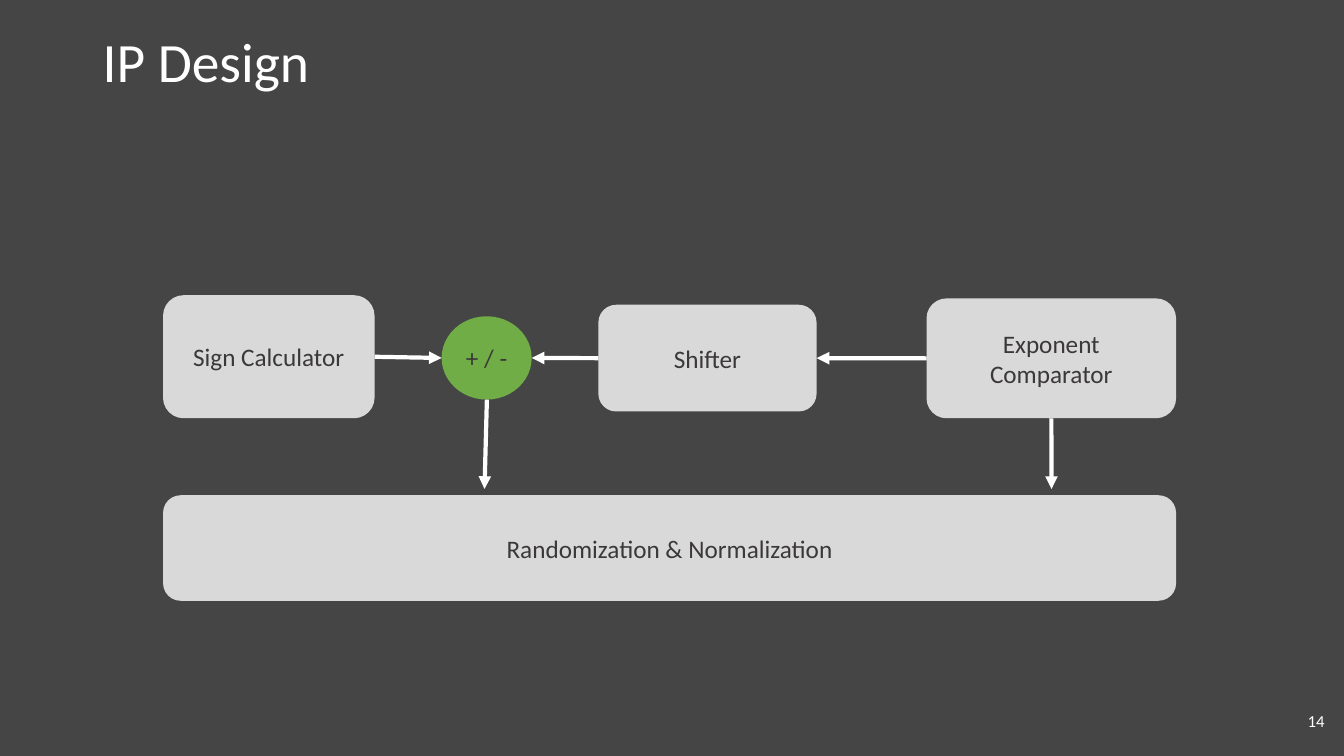
from lxml import etree
from pptx import Presentation
from pptx.dml.color import RGBColor
from pptx.enum.shapes import MSO_CONNECTOR, MSO_SHAPE
from pptx.enum.text import MSO_ANCHOR, PP_ALIGN
from pptx.oxml.ns import qn
from pptx.util import Cm, Pt

ROUNDED = MSO_SHAPE.ROUNDED_RECTANGLE
OVAL = MSO_SHAPE.OVAL
STRAIGHT = MSO_CONNECTOR.STRAIGHT
MIDDLE = MSO_ANCHOR.MIDDLE
LEFT, CENTER, RIGHT = PP_ALIGN.LEFT, PP_ALIGN.CENTER, PP_ALIGN.RIGHT

# Connection sites of a rectangle
SITE_LEFT, SITE_BOTTOM, SITE_RIGHT = 1, 2, 3

BACKGROUND, WHITE, DARK = "454545", "FFFFFF", "3B3838"
GRAY, GREEN = "D9D9D9", "70AD47"


def paint(color_format, color):
    color_format.rgb = RGBColor.from_string(color)


def fill_solid(fill, color):
    fill.solid()
    paint(fill.fore_color, color)


def set_attributes(target, values):
    for name, value in values.items():
        setattr(target, name, value)


def write(shape, lines, size, color, alignment, spacing=1.0):
    frame = shape.text_frame
    set_attributes(frame, {"word_wrap": True, "vertical_anchor": MIDDLE})
    frame.text = "\n".join(lines)
    for paragraph in frame.paragraphs:
        set_attributes(paragraph, {"alignment": alignment, "line_spacing": spacing})
        for run in paragraph.runs:
            set_attributes(run.font, {"name": "Calibri", "size": Pt(size)})
            paint(run.font.color, color)


def add_label(slide, box, text, size, alignment, spacing=1.0):
    label = slide.shapes.add_textbox(*map(Cm, box))
    write(label, [text], size, WHITE, alignment, spacing)


def add_block(slide, kind, box, color, *lines):
    shape = slide.shapes.add_shape(kind, *map(Cm, box))
    shape.shadow.inherit = False
    fill_solid(shape.fill, color)
    shape.line.fill.background()
    write(shape, lines, 18, DARK, CENTER)
    return shape


def add_arrow(slide, begin, end, begin_joint=None, end_joint=None):
    """Draw an arrow between two points; a joint is a (shape, site) pair."""
    arrow = slide.shapes.add_connector(STRAIGHT, *map(Cm, begin + end))
    if begin_joint:
        arrow.begin_connect(*begin_joint)
    if end_joint:
        arrow.end_connect(*end_joint)
    arrow.line.width = Pt(3)
    paint(arrow.line.color, WHITE)
    etree.SubElement(arrow.line._get_or_add_ln(), qn("a:tailEnd"), type="triangle")
    etree.SubElement(arrow._element.spPr, qn("a:effectLst"))


def main():
    presentation = Presentation()
    set_attributes(presentation, {"slide_width": Cm(33.87), "slide_height": Cm(19.05)})
    slide = presentation.slides.add_slide(presentation.slide_layouts[6])
    fill_solid(slide.background.fill, BACKGROUND)

    # Title and slide number
    add_label(slide, (2.34, 1.02, 29.21, 1.22), "IP Design", 39.6, LEFT, 0.9)
    add_label(slide, (31.98, 17.65, 1.65, 1.02), "14", 12, RIGHT)

    # Blocks of the design
    sign = add_block(slide, ROUNDED, (4.11, 7.44, 5.33, 3.1), GRAY, "Sign Calculator")
    exponent = add_block(slide, ROUNDED, (23.35, 7.52, 6.29, 3.02), GRAY,
                         "Exponent", "Comparator")
    shifter = add_block(slide, ROUNDED, (15.08, 7.68, 5.5, 2.69), GRAY, "Shifter")
    add_block(slide, ROUNDED, (4.11, 12.48, 25.53, 2.66), GRAY,
              "Randomization & Normalization")
    add_block(slide, OVAL, (11.13, 7.97, 2.27, 2.1), GREEN, "+ / -")

    # Data flow
    flow_y, arrow_bottom = 9.02, 12.32
    add_arrow(slide, (23.35, flow_y), (20.58, flow_y),
              (exponent, SITE_LEFT), (shifter, SITE_RIGHT))
    add_arrow(slide, (9.44, 8.99), (11.13, flow_y), (sign, SITE_RIGHT))
    add_arrow(slide, (15.08, flow_y), (13.4, flow_y), (shifter, SITE_LEFT))
    add_arrow(slide, (12.27, 10.07), (12.21, arrow_bottom))
    add_arrow(slide, (26.5, 10.54), (26.5, arrow_bottom), (exponent, SITE_BOTTOM))

    presentation.save("out.pptx")


if __name__ == "__main__":
    main()
